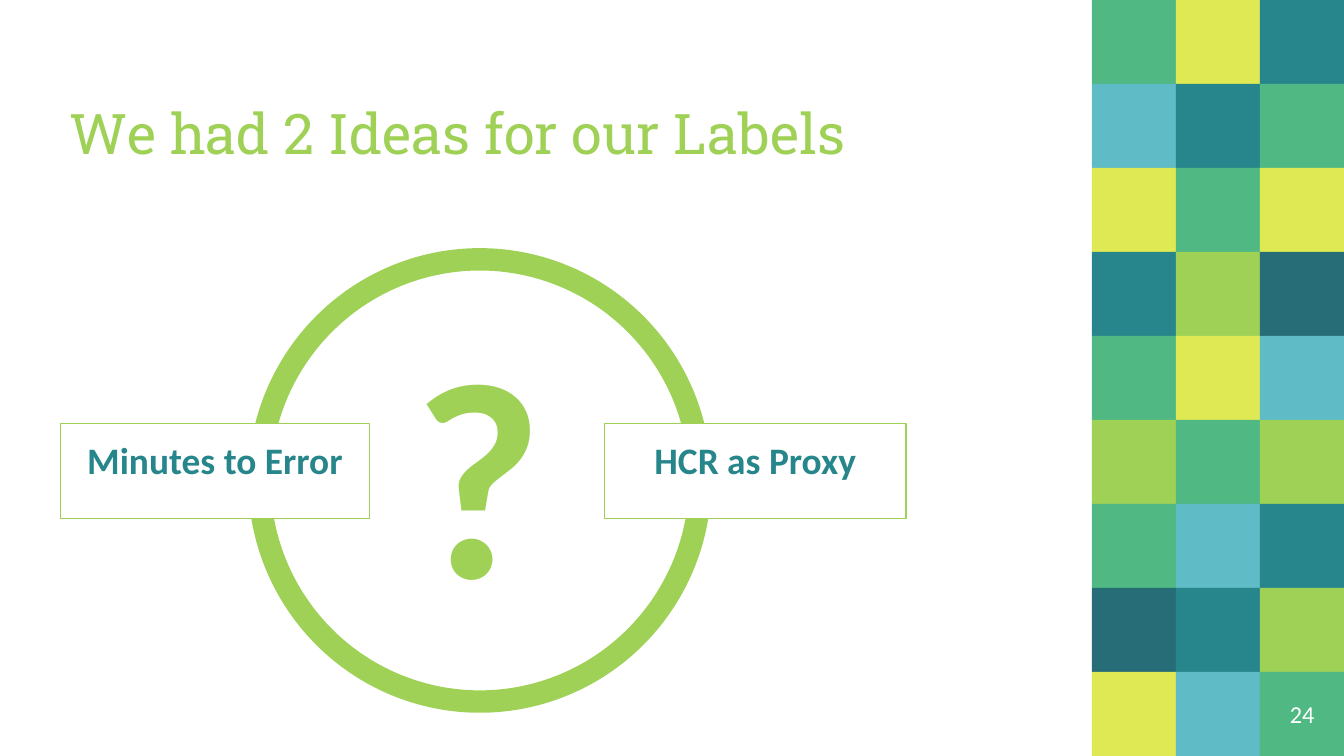
from dataclasses import dataclass

from pptx import Presentation
from pptx import util as u
from pptx.dml.color import RGBColor
from pptx.enum import shapes, text
from pptx.oxml.xmlchemy import OxmlElement
from pptx.shapes.autoshape import Shape
from pptx.slide import Slide

LIME = RGBColor(0x9E, 0xD1, 0x55)
YELLOW = RGBColor(0xDF, 0xE9, 0x54)
GREEN = RGBColor(0x50, 0xB8, 0x83)
TEAL = RGBColor(0x27, 0x86, 0x8B)
BLUE = RGBColor(0x5F, 0xBB, 0xC5)
DARK_TEAL = RGBColor(0x26, 0x6D, 0x78)
WHITE = RGBColor(0xFF, 0xFF, 0xFF)

MOSAIC = [
    (GREEN, YELLOW, TEAL),
    (BLUE, TEAL, GREEN),
    (YELLOW, GREEN, YELLOW),
    (TEAL, LIME, DARK_TEAL),
    (GREEN, YELLOW, BLUE),
    (LIME, GREEN, LIME),
    (GREEN, BLUE, TEAL),
    (DARK_TEAL, TEAL, LIME),
    (YELLOW, BLUE, GREEN),
]
TILE = u.Inches(5) // 8
SLIDE_WIDTH = u.Inches(10)
SLIDE_HEIGHT = TILE * len(MOSAIC)
MOSAIC_LEFT = SLIDE_WIDTH - 3 * TILE


@dataclass(frozen=True)
class Box:
    left: int
    top: int
    width: int
    height: int


@dataclass(frozen=True)
class Idea:
    placeholder: int
    label: str
    box: Box


IDEAS = [
    Idea(1, "Minutes to Error",
         Box(u.Inches(0.45), u.Inches(3.15), u.Inches(2.3), u.Inches(0.71))),
    Idea(2, "HCR as Proxy",
         Box(u.Inches(4.5), u.Inches(3.15), u.Inches(2.24), u.Inches(0.71))),
]


def place(shape: Shape, box: Box) -> None:
    shape.left, shape.top = box.left, box.top
    shape.width, shape.height = box.width, box.height


def write(shape: Shape, content: str, *, size: float, color: RGBColor,
          font: str = "Calibri", bold: bool = False,
          align: text.PP_ALIGN = text.PP_ALIGN.LEFT,
          anchor: text.MSO_ANCHOR = text.MSO_ANCHOR.TOP) -> None:
    frame = shape.text_frame
    frame.text = content
    frame.word_wrap = True
    frame.auto_size = text.MSO_AUTO_SIZE.NONE
    frame.vertical_anchor = anchor
    frame.margin_left = frame.margin_right = u.Inches(0.1)
    frame.margin_top = frame.margin_bottom = u.Inches(0.1)
    paragraph = frame.paragraphs[0]
    paragraph.alignment = align
    paragraph.space_before = u.Pt(0)
    run_font = paragraph.runs[0].font
    run_font.name = font
    run_font.size = u.Pt(size)
    run_font.bold = bold
    run_font.color.rgb = color


def remove_bullet(shape: Shape) -> None:
    properties = shape.text_frame.paragraphs[0]._p.get_or_add_pPr()
    properties.set("marL", "0")
    properties.set("indent", "0")
    properties.append(OxmlElement("a:buNone"))


def draw_mosaic(slide: Slide) -> None:
    for row, colors in enumerate(MOSAIC):
        for column, color in enumerate(colors):
            tile = slide.shapes.add_shape(
                shapes.MSO_SHAPE.RECTANGLE,
                MOSAIC_LEFT + column * TILE, row * TILE, TILE, TILE)
            tile.shadow.inherit = False
            tile.fill.solid()
            tile.fill.fore_color.rgb = color
            tile.line.fill.background()


def draw_ring(slide: Slide) -> None:
    ring = slide.shapes.add_shape(
        shapes.MSO_SHAPE.OVAL,
        u.Inches(1.93), u.Inches(1.93), u.Inches(3.28), u.Inches(3.29))
    ring.shadow.inherit = False
    ring.fill.background()
    ring.line.color.rgb = LIME
    ring.line.width = u.Pt(12)
    slide.shapes._spTree.insert(2, ring._element)


def draw_idea(slide: Slide, idea: Idea) -> None:
    shape = slide.placeholders[idea.placeholder]
    place(shape, idea.box)
    shape.fill.solid()
    shape.fill.fore_color.rgb = WHITE
    shape.line.color.rgb = LIME
    shape.line.width = u.Pt(0.75)
    write(shape, idea.label, size=20, color=TEAL, bold=True,
          align=text.PP_ALIGN.CENTER)
    remove_bullet(shape)


def main() -> None:
    presentation = Presentation()
    presentation.slide_width = SLIDE_WIDTH
    presentation.slide_height = SLIDE_HEIGHT
    slide = presentation.slides.add_slide(
        presentation.slide_layouts.get_by_name("Two Content"))

    draw_mosaic(slide)
    draw_ring(slide)

    title = slide.shapes.title
    place(title, Box(u.Inches(0.42), u.Inches(0.39), u.Inches(7.01), u.Inches(0.94)))
    write(title, "We had 2 Ideas for our Labels", size=30, color=LIME,
          font="Roboto Slab", anchor=text.MSO_ANCHOR.BOTTOM)

    page_number = slide.shapes.add_textbox(
        SLIDE_WIDTH - TILE, SLIDE_HEIGHT - TILE, TILE, TILE)
    write(page_number, "24", size=13, color=WHITE,
          align=text.PP_ALIGN.CENTER, anchor=text.MSO_ANCHOR.MIDDLE)

    question = slide.shapes.add_textbox(
        u.Inches(2.98), u.Inches(2.12), u.Inches(1.3), u.Inches(2.62))
    write(question, "?", size=150, color=LIME, bold=True)

    for idea in IDEAS:
        draw_idea(slide, idea)

    presentation.save("out.pptx")


if __name__ == "__main__":
    main()
